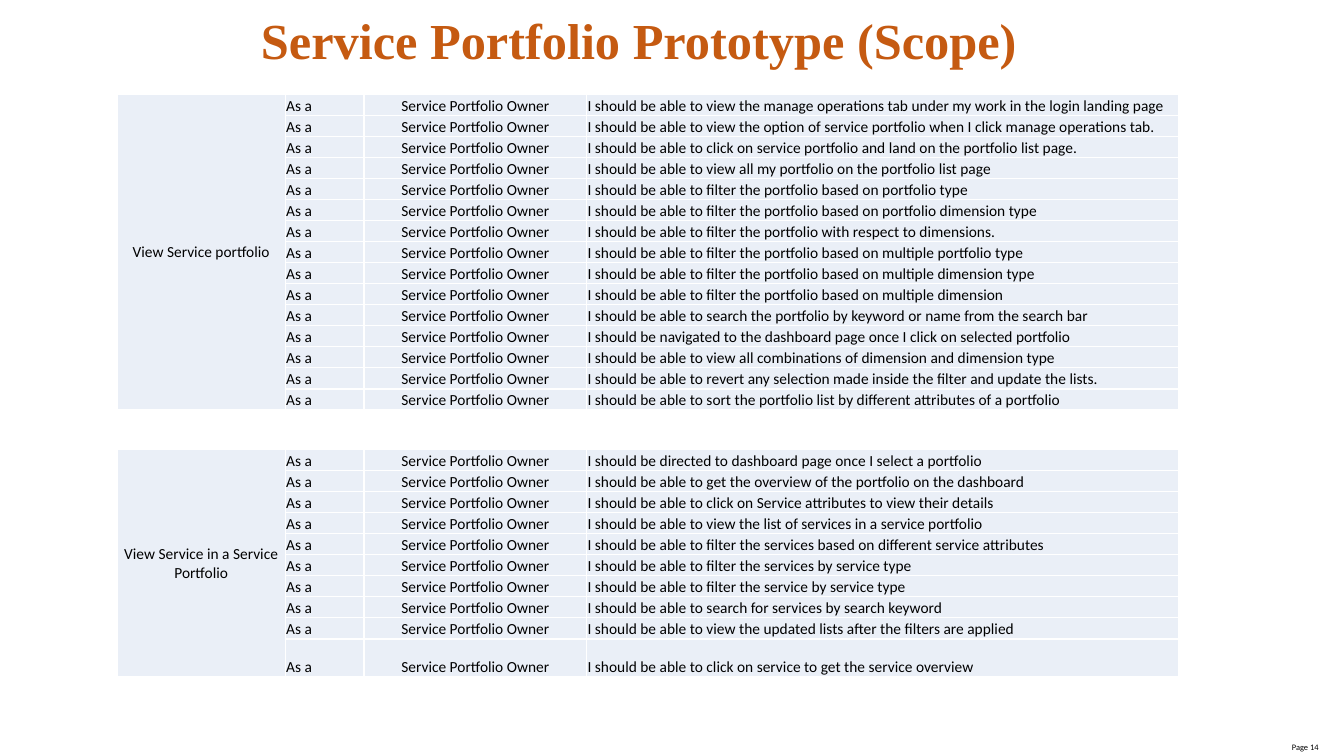
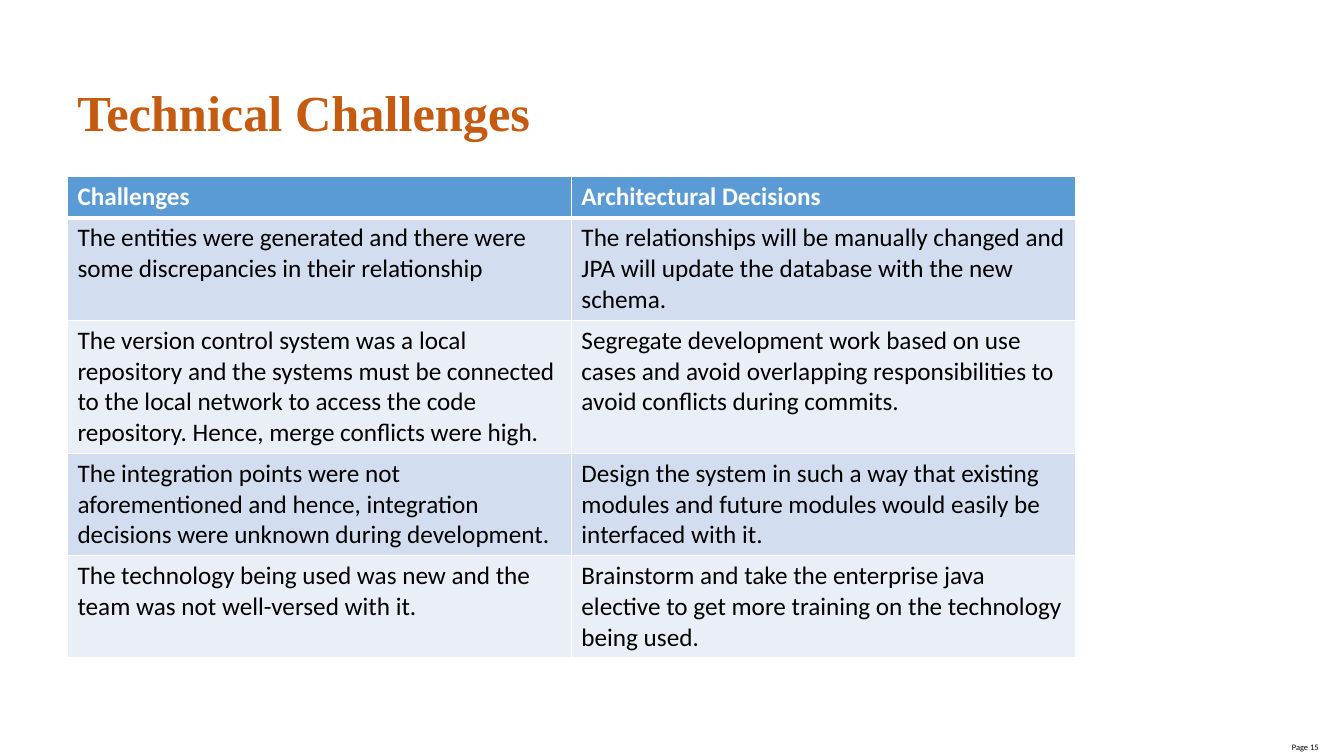
from collections import namedtuple

from lxml.etree import SubElement
from pptx import Presentation
from pptx.dml.color import RGBColor
from pptx.enum.text import MSO_ANCHOR as Anchor, PP_ALIGN as Align
from pptx.oxml.ns import qn
from pptx.util import Cm, Pt

Box = namedtuple("Box", "left top width height")

COLORS = {
    "title": "C55A11",
    "text": "000000",
    "white": "FFFFFF",
    "header": "5B9BD5",
    "band": "D2DEEF",
    "pale": "EAEFF7",
}
FONTS = {
    "title": {"name": "Times New Roman", "size": Pt(36), "bold": True, "color": "title"},
    "page": {"name": "Calibri", "size": Pt(6), "bold": False, "color": "text"},
    "story": {"name": "Calibri", "size": Pt(11), "bold": False, "color": "text"},
    "header": {"name": "Calibri", "size": Pt(18), "bold": True, "color": "white"},
    "body": {"name": "Calibri", "size": Pt(18), "bold": False, "color": "text"},
}
NO_MARGINS = {"margin_left": 0, "margin_right": 0, "margin_top": 0, "margin_bottom": 0}
STORY_MARGINS = NO_MARGINS | {
    "margin_left": Cm(0.02), "margin_right": Cm(0.02), "margin_top": Cm(0.02)}
STORY_COLUMNS = (1.67, 0.78, 2.21, 5.87)
STORY_ROW = 0.53
STORY_LAST_ROW = 0.95
PAGE_BOX = Box(32.13, 18.57, 1.35, 0.5)

VIEW_PORTFOLIO = [
    "I should be able to view the manage operations tab under my work in the login landing page",
    "I should be able to view the option of service portfolio when I click manage operations tab.",
    "I should be able to click on service portfolio and land on the portfolio list page.",
    "I should be able to view all my portfolio on the portfolio list page",
    "I should be able to filter the portfolio based on portfolio type",
    "I should be able to filter the portfolio based on portfolio dimension type",
    "I should be able to filter the portfolio with respect to dimensions.",
    "I should be able to filter the portfolio based on multiple portfolio type",
    "I should be able to filter the portfolio based on multiple dimension type",
    "I should be able to filter the portfolio based on multiple dimension",
    "I should be able to search the portfolio by keyword or name from the search bar",
    "I should be navigated to the dashboard page once I click on selected portfolio",
    "I should be able to view all combinations of dimension and dimension type",
    "I should be able to revert any selection made inside the filter and update the lists.",
    "I should be able to sort the portfolio list by different attributes of a portfolio",
]
VIEW_SERVICE = [
    "I should be directed to dashboard page once I select a portfolio",
    "I should be able to get the overview of the portfolio on the dashboard",
    "I should be able to click on Service attributes to view their details",
    "I should be able to view the list of services in a service portfolio",
    "I should be able to filter the services based on different service attributes",
    "I should be able to filter the services by service type",
    "I should be able to filter the service by service type",
    "I should be able to search for services by search keyword",
    "I should be able to view the updated lists after the filters are applied",
    "I should be able to click on service to get the service overview",
]
CHALLENGES = [
    ("Challenges", "Architectural Decisions"),
    ("The entities were generated and there were some discrepancies in their relationship",
     "The relationships will be manually changed and JPA will update the database with the new schema."),
    ("The version control system was a local repository and the systems must be connected to the local "
     "network to access the code repository. Hence, merge conflicts were high.",
     "Segregate development work based on use cases and avoid overlapping responsibilities to avoid "
     "conflicts during commits."),
    ("The integration points were not aforementioned and hence, integration decisions were unknown "
     "during development.",
     "Design the system in such a way that existing modules and future modules would easily be "
     "interfaced with it."),
    ("The technology being used was new and the team was not well-versed with it.",
     "Brainstorm and take the enterprise java elective to get more training on the technology being used."),
]
CHALLENGE_ROWS = (1.04, 2.58, 3.35, 2.58, 2.58)


def set_values(target, values):
    for name, value in values.items():
        setattr(target, name, value)


def write(frame, text, font, align=Align.LEFT, spacing=1.0):
    paragraph = frame.paragraphs[0]
    set_values(paragraph, {"alignment": align, "line_spacing": spacing})
    run = paragraph.add_run()
    run.text = text
    values = dict(FONTS[font])
    run.font.color.rgb = RGBColor.from_string(COLORS[values.pop("color")])
    set_values(run.font, values)


def add_text(slide, box, text, font, align, spacing=1.0, wrap=True):
    shape = slide.shapes.add_textbox(*map(Cm, box))
    set_values(shape.text_frame, {"word_wrap": wrap, "vertical_anchor": Anchor.MIDDLE})
    write(shape.text_frame, text, font, align, spacing)


def add_borders(cell, bottom):
    properties = cell._tc.get_or_add_tcPr()
    for side, width in {"lnL": 1, "lnR": 1, "lnT": 1, "lnB": bottom}.items():
        line = SubElement(properties, qn(f"a:{side}"), w=str(Pt(width)))
        fill = SubElement(line, qn("a:solidFill"))
        SubElement(fill, qn("a:srgbClr"), val=COLORS["white"])


def format_cell(cell, fill, bottom=1):
    add_borders(cell, bottom)
    cell.fill.solid()
    cell.fill.fore_color.rgb = RGBColor.from_string(COLORS[fill])


def add_grid(slide, box, shares, heights):
    frame = slide.shapes.add_table(len(heights), len(shares), *map(Cm, box))
    table = frame.table
    set_values(table, {"first_row": False, "horz_banding": False})
    for column, share in zip(table.columns, shares):
        column.width = Cm(box.width * share / sum(shares))
    for row, height in zip(table.rows, heights):
        row.height = Cm(height)
    return table


def add_stories(slide, box, activity, stories, heights):
    table = add_grid(slide, box, STORY_COLUMNS, heights)
    for cell in table.iter_cells():
        format_cell(cell, "pale")
        set_values(cell, STORY_MARGINS | {"vertical_anchor": Anchor.BOTTOM})
    for index, story in enumerate(stories):
        cells = table.rows[index].cells
        write(cells[1].text_frame, "As a", "story")
        write(cells[2].text_frame, "Service Portfolio Owner", "story", Align.CENTER)
        write(cells[3].text_frame, story, "story")
        if index:
            ending = cells[0].text_frame.paragraphs[0]._p
            SubElement(ending, qn("a:endParaRPr"), sz="1100")
    first = table.cell(0, 0)
    first.merge(table.cell(len(stories) - 1, 0))
    first.vertical_anchor = Anchor.MIDDLE
    write(first.text_frame, activity, "story", Align.CENTER)


def add_challenges(slide, box):
    table = add_grid(slide, box, (1, 1), CHALLENGE_ROWS)
    for index, texts in enumerate(CHALLENGES):
        fill = ("pale", "band")[index % 2] if index else "header"
        for cell, text in zip(table.rows[index].cells, texts):
            format_cell(cell, fill, 1 if index else 3)
            write(cell.text_frame, text, "body" if index else "header")


def add_page(presentation, number):
    slide = presentation.slides.add_slide(presentation.slide_layouts[6])
    add_text(slide, PAGE_BOX, f"Page {number}", "page", Align.RIGHT, wrap=False)
    return slide


def build_scope(presentation):
    slide = add_page(presentation, 14)
    add_text(slide, Box(6.3, 0.08, 19.61, 1.8), "Service Portfolio Prototype (Scope)",
             "title", Align.CENTER)
    portfolio_rows = [STORY_ROW] * len(VIEW_PORTFOLIO)
    service_rows = [STORY_ROW] * (len(VIEW_SERVICE) - 1) + [STORY_LAST_ROW]
    add_stories(slide, Box(2.95, 2.38, 26.75, sum(portfolio_rows)),
                "View Service portfolio", VIEW_PORTFOLIO, portfolio_rows)
    add_stories(slide, Box(2.95, 11.33, 26.75, sum(service_rows)),
                "View Service in a Service Portfolio", VIEW_SERVICE, service_rows)


def build_challenges(presentation):
    slide = add_page(presentation, 15)
    add_text(slide, Box(1.7, 1.9, 25.4, 2.03), "Technical Challenges",
             "title", Align.LEFT, spacing=0.9)
    add_challenges(slide, Box(1.7, 4.45, 25.4, sum(CHALLENGE_ROWS)))


def main():
    presentation = Presentation()
    set_values(presentation, {"slide_width": Cm(33.87), "slide_height": Cm(19.05)})
    build_scope(presentation)
    build_challenges(presentation)
    presentation.save("out.pptx")


if __name__ == "__main__":
    main()
